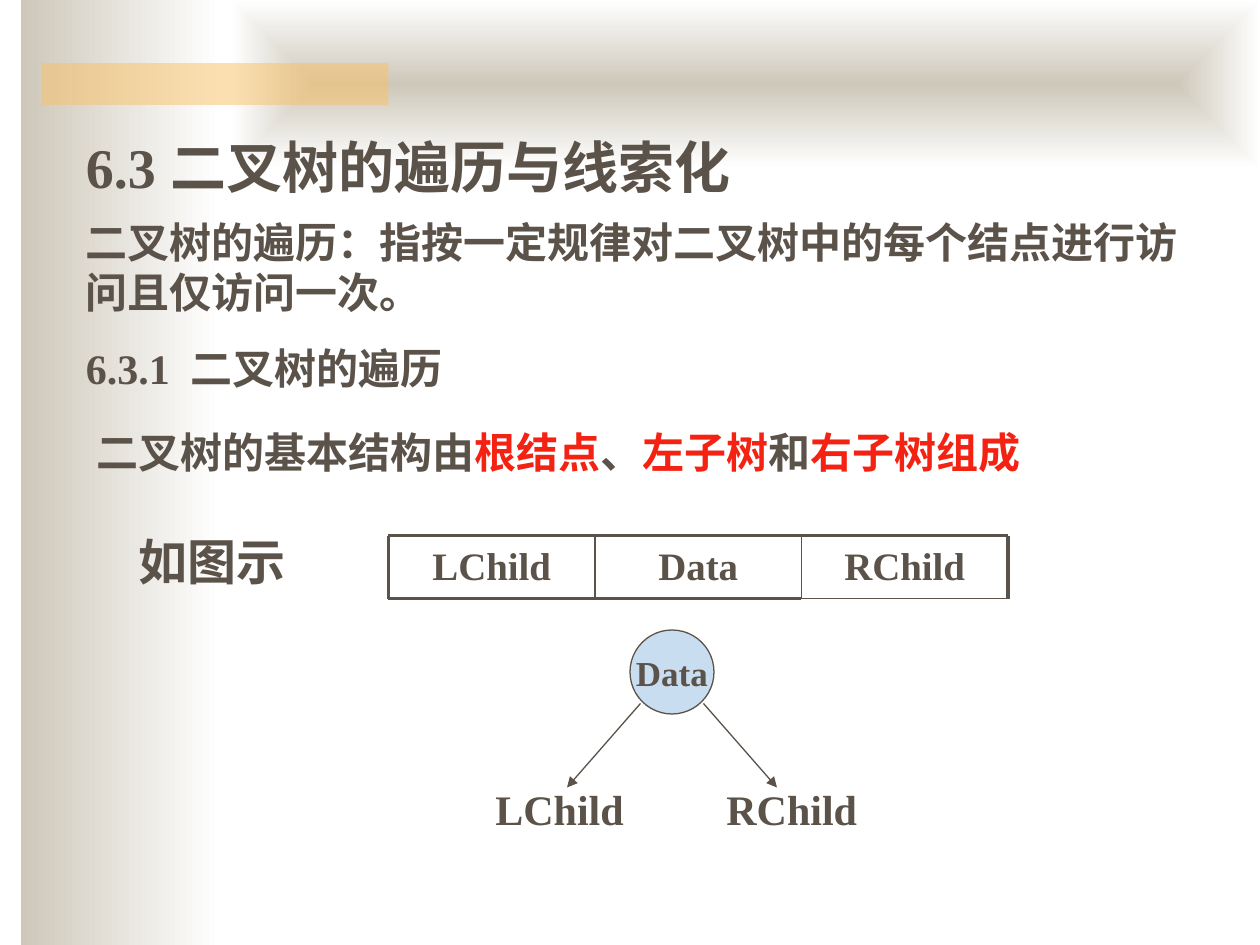
from dataclasses import dataclass

from lxml import etree
from pptx import Presentation
from pptx.dml.color import RGBColor
from pptx.enum.shapes import MSO_CONNECTOR, MSO_SHAPE
from pptx.enum.text import MSO_ANCHOR, PP_ALIGN
from pptx.oxml.ns import qn
from pptx.util import Pt

RECTANGLE, OVAL = MSO_SHAPE.RECTANGLE, MSO_SHAPE.OVAL
STRAIGHT = MSO_CONNECTOR.STRAIGHT
LEFT, CENTER = PP_ALIGN.LEFT, PP_ALIGN.CENTER
TOP, MIDDLE = MSO_ANCHOR.TOP, MSO_ANCHOR.MIDDLE


@dataclass(frozen=True)
class Theme:
    font: str = "Times New Roman"
    ink: str = "5B5249"
    accent: str = "F42212"
    sand: str = "CEC8BA"
    paper: str = "FFFFFF"
    amber: str = "FAC164"
    node: str = "C9DDF1"
    title: float = 32
    caption: float = 28
    body: float = 24
    cell: float = 22.2
    root: float = 20
    thick: float = 2.25
    medium: float = 1
    thin: float = 0.75


THEME = Theme()

# Each text: (left, top, width, height), size, spans of (text, colour)
TEXTS = [
    ((42, 72, 660, 46), THEME.title, [("6.3 二叉树的遍历与线索化", THEME.ink)]),
    ((42, 120, 654, 70), THEME.body,
     [("二叉树的遍历：指按一定规律对二叉树中的每个结点进行访问且仅访问一次。", THEME.ink)]),
    ((42, 192, 336, 36), THEME.body, [("6.3.1  二叉树的遍历", THEME.ink)]),
    ((48, 240, 654, 36), THEME.body, [
        ("二叉树的基本结构由", THEME.ink), ("根结点", THEME.accent),
        ("、", THEME.ink), ("左子树", THEME.accent),
        ("和", THEME.ink), ("右子树组成", THEME.accent)]),
    ((72, 300, 114, 41), THEME.caption, [("如图示", THEME.ink)]),
]

FIELDS = ["LChild", "Data", "RChild"]
RECORD_LEFT, RECORD_TOP, FIELD_WIDTH, FIELD_HEIGHT = 222, 306, 118, 36

ROOT = (360, 360, 48, 48)
# Each child: name, label left, arrow start x, arrow end x
CHILDREN = [("LChild", 276, 366, 324), ("RChild", 408, 402, 444)]
CHILD_TOP, ARROW_TOP, ARROW_BOTTOM = 444, 402, 450


def points(values):
    return [Pt(value) for value in values]


def color(code):
    return RGBColor.from_string(code)


def write(frame, spans, size, align=LEFT, anchor=TOP, wrap=True):
    frame.word_wrap = wrap
    frame.vertical_anchor = anchor
    para = frame.paragraphs[0]
    para.alignment = align
    for text, ink in spans:
        span = para.add_run()
        span.text = text
        span.font.name = THEME.font
        span.font.size = Pt(size)
        span.font.bold = True
        span.font.color.rgb = color(ink)


def add_text(page, place, spans, size, **layout):
    box = page.shapes.add_textbox(*points(place))
    write(box.text_frame, spans, size, **layout)


def add_panel(page, kind, place):
    panel = page.shapes.add_shape(kind, *points(place))
    panel.shadow.inherit = False
    panel.line.fill.background()
    return panel


def fade(panel):
    """Fill with sand fading to paper, from left to right."""
    panel.fill.gradient()
    panel.fill.gradient_angle = 0
    for stop, code in zip(panel.fill.gradient_stops, (THEME.sand, THEME.paper)):
        stop.color.rgb = color(code)


def fade_from_center(panel):
    fade(panel)
    gradient = panel.element.spPr.find(qn("a:gradFill"))
    linear = gradient.find(qn("a:lin"))
    radial = etree.Element(qn("a:path"), {"path": "rect"})
    etree.SubElement(radial, qn("a:fillToRect"), dict.fromkeys("ltrb", "50000"))
    gradient.replace(linear, radial)


def add_line(page, start, end, width, arrow=False):
    line = page.shapes.add_connector(STRAIGHT, *points(start + end))
    line.line.color.rgb = color(THEME.ink)
    line.line.width = Pt(width)
    if arrow:
        etree.SubElement(line.line._get_or_add_ln(), qn("a:tailEnd"), {"type": "triangle"})
    etree.SubElement(line.element.spPr, qn("a:effectLst"))


def add_background(page):
    fade(add_panel(page, RECTANGLE, (12, 0, 114, 540)))
    fade_from_center(add_panel(page, RECTANGLE, (132, 0, 588, 96)))
    bar = add_panel(page, RECTANGLE, (24, 36, 198, 24))
    bar.fill.solid()
    bar.fill.fore_color.rgb = color(THEME.amber)
    tint = bar.element.spPr.find(qn("a:solidFill"))[0]
    etree.SubElement(tint, qn("a:alpha"), {"val": "50000"})


def add_record(page):
    edges = [RECORD_LEFT + i * FIELD_WIDTH for i in range(len(FIELDS) + 1)]
    bottom = RECORD_TOP + FIELD_HEIGHT
    for name, left in zip(FIELDS, edges):
        add_text(page, (left, RECORD_TOP, FIELD_WIDTH, FIELD_HEIGHT),
                 [(name, THEME.ink)], THEME.cell, align=CENTER)
    add_line(page, (edges[0], RECORD_TOP), (edges[-1], RECORD_TOP), THEME.thick)
    for x in edges:
        width = THEME.thick if x in (edges[0], edges[-1]) else THEME.medium
        add_line(page, (x, RECORD_TOP), (x, bottom), width)
    add_line(page, (edges[-2], bottom), (edges[-1], bottom), THEME.medium)
    add_line(page, (edges[0], bottom), (edges[-2], bottom), THEME.thick)


def add_tree(page):
    root = add_panel(page, OVAL, ROOT)
    root.fill.solid()
    root.fill.fore_color.rgb = color(THEME.node)
    root.line.color.rgb = color(THEME.ink)
    root.line.width = Pt(THEME.thin)
    write(root.text_frame, [("Data", THEME.ink)], THEME.root,
          align=CENTER, anchor=MIDDLE, wrap=False)
    for name, left, start, end in CHILDREN:
        add_text(page, (left, CHILD_TOP, 90, 36), [(name, THEME.ink)], THEME.body)
        add_line(page, (start, ARROW_TOP), (end, ARROW_BOTTOM), THEME.thin, arrow=True)


def main():
    deck = Presentation()
    deck.slide_width, deck.slide_height = Pt(720), Pt(540)
    page = deck.slides.add_slide(deck.slide_layouts[6])
    add_background(page)
    for place, size, spans in TEXTS:
        add_text(page, place, spans, size)
    add_record(page)
    add_tree(page)
    deck.save("out.pptx")


if __name__ == "__main__":
    main()
